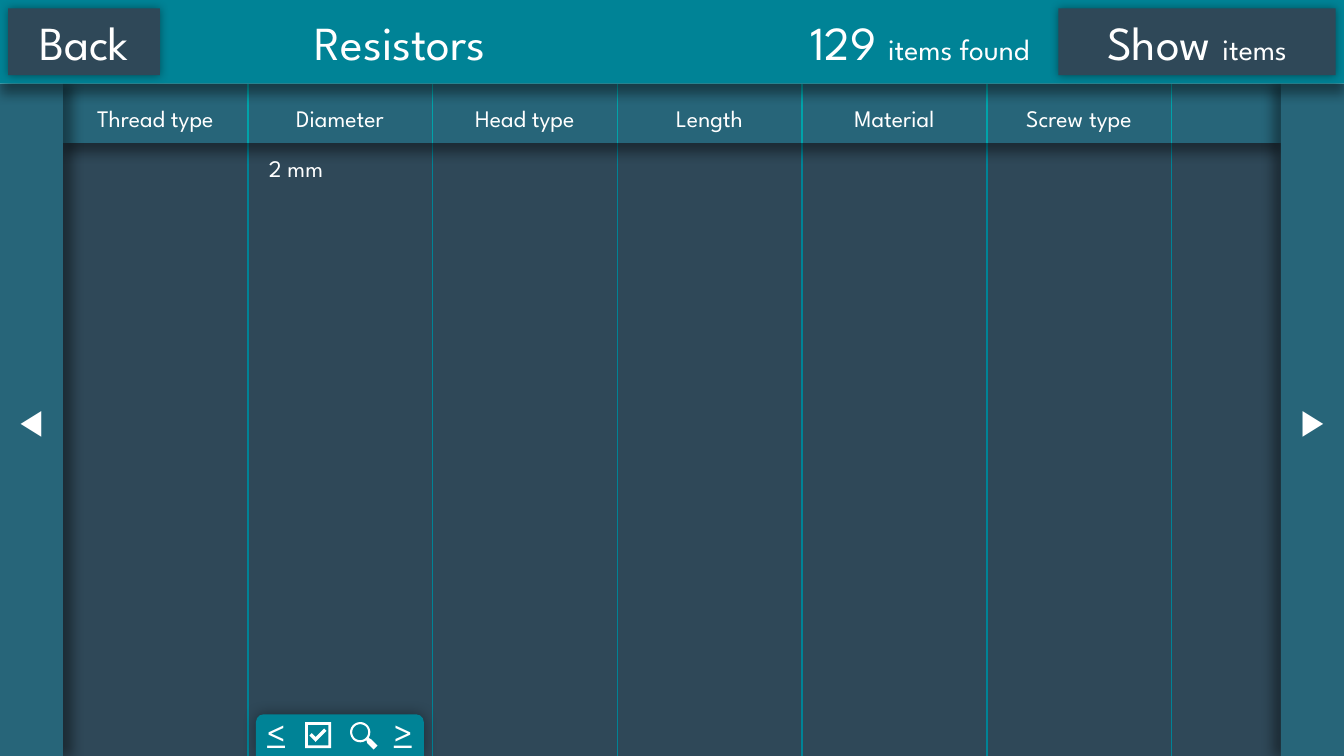
from math import cos, radians, sin

from lxml import etree
from pptx import Presentation
from pptx.dml.color import RGBColor
from pptx.enum.shapes import MSO_CONNECTOR, MSO_SHAPE
from pptx.enum.text import MSO_ANCHOR, MSO_AUTO_SIZE, PP_ALIGN
from pptx.oxml.ns import qn
from pptx.util import Pt

RECT = MSO_SHAPE.RECTANGLE
TAB = MSO_SHAPE.ROUND_2_SAME_RECTANGLE
STRAIGHT = MSO_CONNECTOR.STRAIGHT
LEFT, CENTER, RIGHT = PP_ALIGN.LEFT, PP_ALIGN.CENTER, PP_ALIGN.RIGHT
TOP, MIDDLE, BOTTOM = MSO_ANCHOR.TOP, MSO_ANCHOR.MIDDLE, MSO_ANCHOR.BOTTOM
FIT = MSO_AUTO_SIZE.SHAPE_TO_FIT_TEXT

WHITE = RGBColor(0xFF, 0xFF, 0xFF)
SLATE = RGBColor(0x2F, 0x48, 0x58)
TEAL = RGBColor(0x00, 0x83, 0x96)
DEEP_TEAL = RGBColor(0x27, 0x65, 0x79)
BRIGHT_TEAL = RGBColor(0x00, 0xA3, 0xAA)

WIDTH, HEIGHT = 453.6, 255.1
BAR_H = 28.3
HEAD_H = 20
HEAD_BOTTOM = BAR_H + HEAD_H
SIDE_W = 21.3
COL_W = 62.35
HEADERS = ["Thread type", "Diameter", "Head type", "Length", "Material", "Screw type"]
TAB_X, TAB_Y, TAB_W, TAB_H = 86.4, 241, 56.7, 14.1
FONT = {"name": "League Spartan"}
NO_INSETS = {"margin_left": 0, "margin_right": 0}


def add_shadow(sp, blur, dist, angle):
    effects = sp._element.spPr.find(qn("a:effectLst"))
    shadow = etree.SubElement(effects, qn("a:outerShdw"), blurRad=str(Pt(blur)),
                              dist=str(Pt(dist)), dir=str(angle * 60000), rotWithShape="0")
    color = etree.SubElement(shadow, qn("a:srgbClr"), val="000000")
    etree.SubElement(color, qn("a:alpha"), val="40000")


def paint(sp, color):
    sp.shadow.inherit = False
    sp.fill.solid()
    sp.fill.fore_color.rgb = color
    sp.line.fill.background()


def add_block(s, box, color, shadow=None, kind=RECT):
    sp = s.shapes.add_shape(kind, *map(Pt, box))
    paint(sp, color)
    if shadow:
        add_shadow(sp, *shadow)
    return sp


def write(sp, runs, align=CENTER, anchor=MIDDLE, **frame):
    tf = sp.text_frame
    for name, value in {"word_wrap": True, "vertical_anchor": anchor, **frame}.items():
        setattr(tf, name, value)
    p = tf.paragraphs[0]
    p.alignment = align
    for text, size in runs:
        r = p.add_run()
        r.text = text
        for name, value in {**FONT, "size": Pt(size)}.items():
            setattr(r.font, name, value)
        r.font.color.rgb = WHITE


def add_label(s, box, runs, **layout):
    write(s.shapes.add_textbox(*map(Pt, box)), runs, **layout)


def add_rule(s, x, top, bottom, color):
    line = s.shapes.add_connector(STRAIGHT, Pt(x), Pt(top), Pt(x), Pt(bottom))
    line.line.color.rgb = color
    line.line.width = Pt(0.5)
    etree.SubElement(line._element.spPr, qn("a:effectLst"))


def add_outline(s, *contours):
    points = [[(Pt(x), Pt(y)) for x, y in contour] for contour in contours]
    builder = s.shapes.build_freeform(*points[0][0])
    builder.add_line_segments(points[0][1:])
    for contour in points[1:]:
        builder.move_to(*contour[0])
        builder.add_line_segments(contour[1:])
    paint(builder.convert_to_shape(), WHITE)


def square(x, y, side):
    return [(x, y), (x, y + side), (x + side, y + side), (x + side, y)]


def polar(cx, cy, points):
    return [(cx + r * cos(radians(a)), cy + r * sin(radians(a))) for r, a in points]


def add_checkbox(s, x, y):
    add_outline(s, square(x, y, 8.7), square(x + 0.9, y + 0.9, 6.9))
    tick = [(7.2, 2.9), (6.4, 2.1), (3.5, 5), (2.2, 3.7), (1.4, 4.5), (3.5, 6.6)]
    add_outline(s, [(x + dx, y + dy) for dx, dy in tick])


def add_magnifier(s, cx, cy):
    rim = [(3.4, a) for a in range(52, 399, 6)]
    handle = [(4.4, 33), (7.4, 38), (7.4, 52), (4.4, 57)]
    lens = [(2.7, a) for a in range(0, 360, 10)]
    add_outline(s, polar(cx, cy, rim + handle), polar(cx, cy, lens))


def add_columns(s):
    add_block(s, (SIDE_W, HEAD_BOTTOM, WIDTH - 2 * SIDE_W, HEIGHT - HEAD_BOTTOM), SLATE)
    edges = [SIDE_W + i * COL_W for i in range(len(HEADERS) + 1)]
    for x in edges[1:]:
        add_rule(s, x, HEAD_BOTTOM, HEIGHT, TEAL)
    add_block(s, (SIDE_W, BAR_H, WIDTH - 2 * SIDE_W, HEAD_H), DEEP_TEAL, (4, 3, 90))
    for x, header in zip(edges, HEADERS):
        sp = add_block(s, (x, BAR_H, COL_W, HEAD_H), DEEP_TEAL)
        write(sp, [(header, 8)], anchor=BOTTOM)
    for x in edges[1:]:
        add_rule(s, x, BAR_H, HEAD_BOTTOM, BRIGHT_TEAL)


def add_side_arrows(s):
    for x, arrow, angle in [(WIDTH - SIDE_W, "▶", 180), (0, "◀", 0)]:
        sp = add_block(s, (x, BAR_H, SIDE_W, HEIGHT - BAR_H), DEEP_TEAL, (4, 3, angle))
        write(sp, [(arrow, 12)], **NO_INSETS)


def add_title_bar(s):
    add_block(s, (0, 0, WIDTH, BAR_H), TEAL, (4, 3, 90))
    buttons = [(357.2, 93.6, [("Show ", 16), ("items", 10)]), (2.8, 51.2, [("Back", 16)])]
    for x, width, runs in buttons:
        sp = add_block(s, (x, 2.8, width, 22.6), SLATE, (3, 0, 0))
        write(sp, runs, margin_left=Pt(5.7), margin_right=Pt(5.7))
    add_label(s, (226.8, 0, 127.6, BAR_H), [("129 ", 16), ("items found", 10)], align=RIGHT)
    add_label(s, (99.2, 0, 127.6, BAR_H), [("Resistors", 16)], align=LEFT)


def add_filter_tab(s):
    sp = add_block(s, (TAB_X, TAB_Y, TAB_W, TAB_H), TEAL, (5, 0, 0), TAB)
    sp.adjustments[0] = 0.19
    add_magnifier(s, 121.6, 247.1)
    for x, sign in [(TAB_X, "≤"), (TAB_X + TAB_W - TAB_H, "≥")]:
        add_label(s, (x, TAB_Y, TAB_H, TAB_H), [(sign, 12)], **NO_INSETS)
    add_checkbox(s, 103, 243.7)


def main():
    prs = Presentation()
    prs.slide_width, prs.slide_height = Pt(WIDTH), Pt(HEIGHT)
    s = prs.slides.add_slide(prs.slide_layouts[6])
    add_columns(s)
    add_side_arrows(s)
    add_title_bar(s)
    add_label(s, (SIDE_W + COL_W, HEAD_BOTTOM, COL_W, 17), [("2 mm", 8)],
              align=LEFT, anchor=TOP, auto_size=FIT)
    add_filter_tab(s)
    prs.save("out.pptx")


if __name__ == "__main__":
    main()
